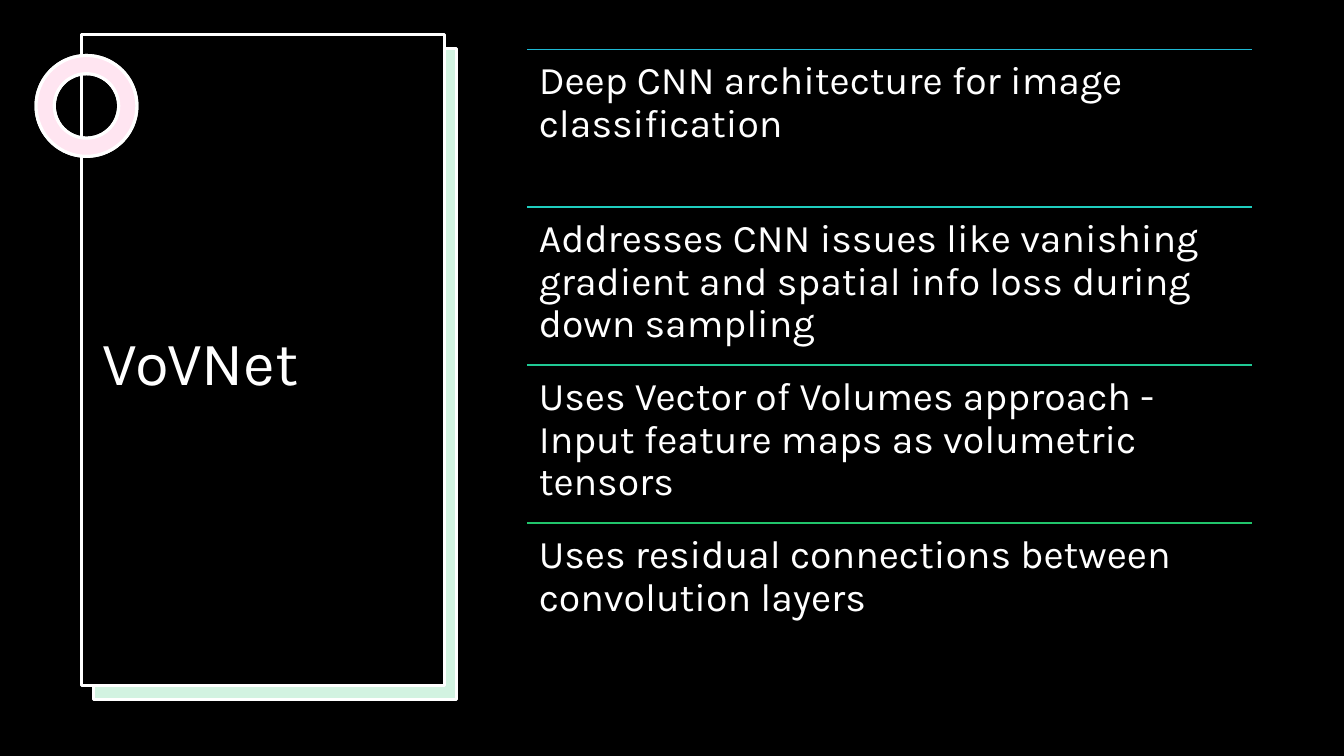
import pptx
import pptx.dml.color
import pptx.enum.shapes
import pptx.enum.text
import pptx.oxml.ns
import pptx.util
from dataclasses import dataclass
from lxml import etree

Cm = pptx.util.Cm
Pt = pptx.util.Pt
RGB = pptx.dml.color.RGBColor.from_string
qn = pptx.oxml.ns.qn
MSO_SHAPE = pptx.enum.shapes.MSO_SHAPE
MSO_ANCHOR = pptx.enum.text.MSO_ANCHOR


@dataclass(frozen=True)
class Theme:
    font: str = "Karla"
    black: str = "000000"
    white: str = "FFFFFF"
    green: str = "21C46B"
    pink: str = "FF80BD"
    rules: tuple = ("1EB9D3", "1FCEBF", "20C994", "21C46B")
    tint_opacity: int = 20
    title_size: int = 44
    body_size: int = 28
    outline: float = 2.25
    rule: float = 1


theme = Theme()


def add_panel(slide, kind, left, top, width, height, color, opacity=100, outlined=True):
    shape = slide.shapes.add_shape(kind, Cm(left), Cm(top), Cm(width), Cm(height))
    shape.shadow.inherit = False
    shape.fill.solid()
    shape.fill.fore_color.rgb = RGB(color)
    if opacity < 100:
        color_element = shape.fill._xPr.find(qn("a:solidFill"))[0]
        etree.SubElement(color_element, qn("a:alpha"), val=str(opacity * 1000))
    if outlined:
        shape.line.color.rgb = RGB(theme.white)
        shape.line.width = Pt(theme.outline)
    else:
        shape.line.fill.background()
    return shape


def add_text(slide, text, left, top, width, height, size, anchor, margins):
    text_box = slide.shapes.add_textbox(Cm(left), Cm(top), Cm(width), Cm(height))
    frame = text_box.text_frame
    frame.word_wrap = True
    frame.vertical_anchor = anchor
    frame.margin_left = frame.margin_right = Cm(margins[0])
    frame.margin_top = frame.margin_bottom = Cm(margins[1])
    frame.text = text
    paragraph = frame.paragraphs[0]
    paragraph.line_spacing = 0.9
    font = paragraph.runs[0].font
    font.name = theme.font
    font.size = Pt(size)
    font.color.rgb = RGB(theme.white)


presentation = pptx.Presentation()
presentation.slide_width = Cm(33.87)
presentation.slide_height = Cm(19.05)
slide = presentation.slides.add_slide(presentation.slide_layouts[6])
slide.background.fill.solid()
slide.background.fill.fore_color.rgb = RGB(theme.black)

card_width, card_height = 9.14, 16.41
add_panel(slide, MSO_SHAPE.RECTANGLE, 0, 0, 33.87, 19.05, theme.black, outlined=False)
add_panel(slide, MSO_SHAPE.RECTANGLE, 2.34, 1.24, card_width, card_height, theme.white, outlined=False)
add_panel(slide, MSO_SHAPE.RECTANGLE, 2.36, 1.22, card_width, card_height, theme.green, theme.tint_opacity)
add_panel(slide, MSO_SHAPE.RECTANGLE, 2.06, 0.86, card_width, card_height, theme.black)

for color, opacity in ((theme.white, 100), (theme.pink, theme.tint_opacity)):
    ring = add_panel(slide, MSO_SHAPE.DONUT, 0.91, 1.4, 2.54, 2.54, color, opacity)
    ring.adjustments[0] = 0.18

add_text(slide, "VoVNet", 2.34, 3.33, 8.89, 11.76, theme.title_size, MSO_ANCHOR.MIDDLE, (0.25, 0.13))

points = (
    "Deep CNN architecture for image classification",
    "Addresses CNN issues like vanishing gradient and spatial info loss during down sampling",
    "Uses Vector of Volumes approach - Input feature maps as volumetric tensors",
    "Uses residual connections between convolution layers",
)
list_left, list_top, list_width, row_height = 13.28, 1.24, 18.26, 3.98

for index, (point, color) in enumerate(zip(points, theme.rules)):
    top = list_top + index * row_height
    rule = slide.shapes.add_connector(
        pptx.enum.shapes.MSO_CONNECTOR.STRAIGHT,
        Cm(list_left), Cm(top), Cm(list_left + list_width), Cm(top),
    )
    rule.line.color.rgb = RGB(color)
    rule.line.width = Pt(theme.rule)
    etree.SubElement(rule._element.spPr, qn("a:effectLst"))
    add_text(slide, point, list_left, top, list_width, row_height,
             theme.body_size, MSO_ANCHOR.TOP, (0.3, 0.3))

presentation.save("out.pptx")
